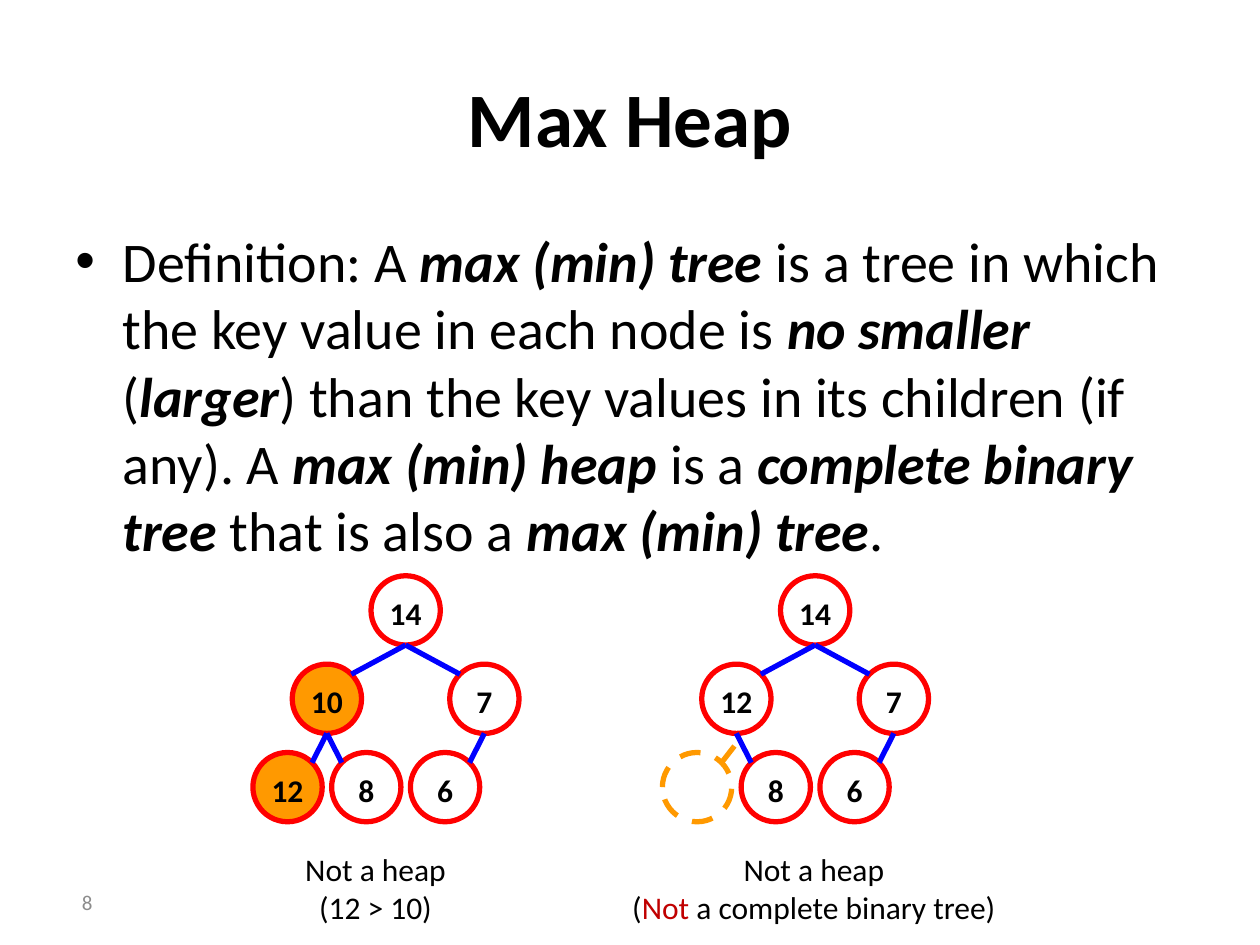
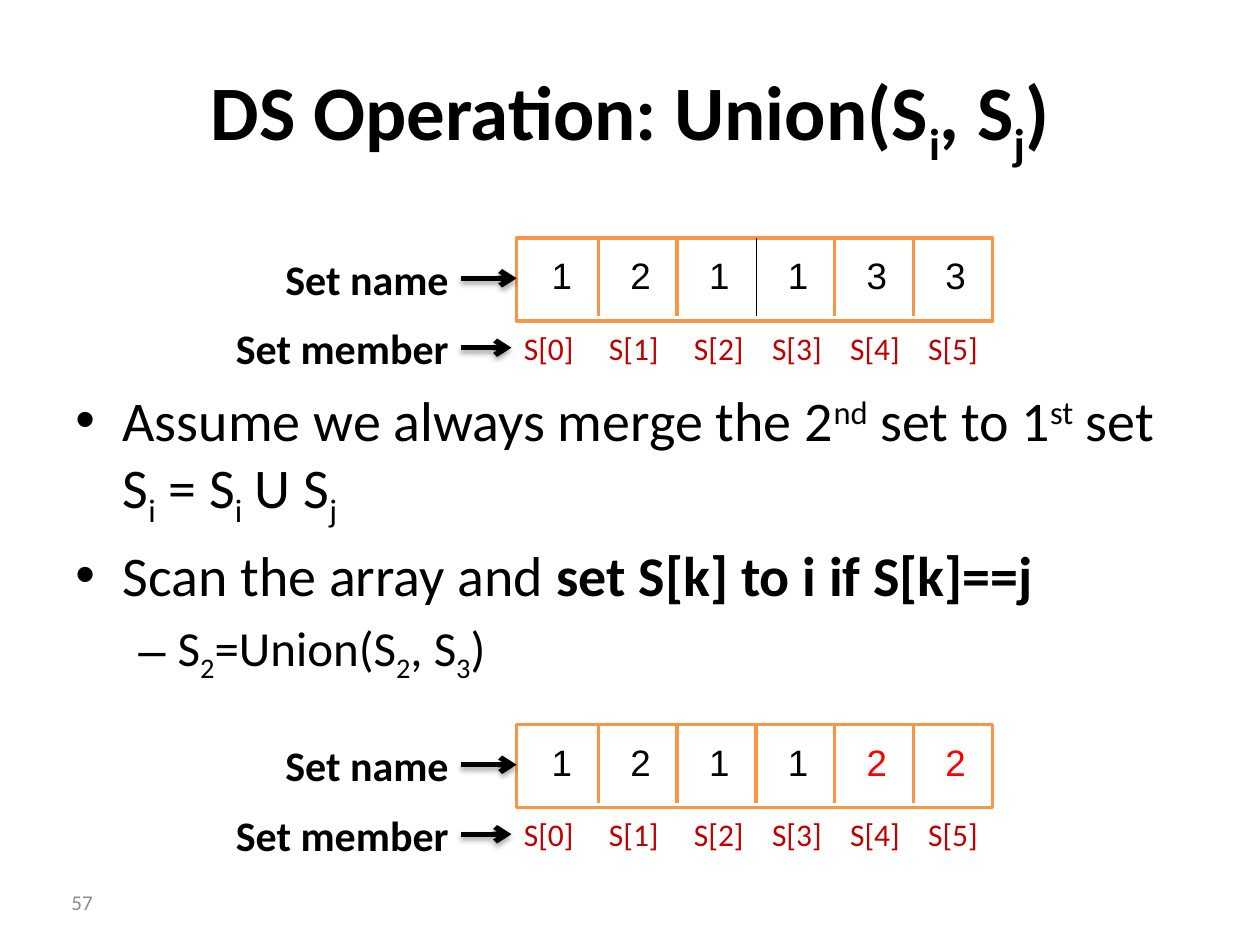
from math import sqrt
from lxml.etree import SubElement
from pptx import Presentation
from pptx.dml.color import RGBColor
from pptx.enum.dml import MSO_LINE
from pptx.enum.shapes import MSO_CONNECTOR, MSO_SHAPE
from pptx.enum.text import MSO_ANCHOR, PP_ALIGN
from pptx.oxml.ns import qn
from pptx.util import Pt

BLACK = RGBColor(0, 0, 0)
WHITE = RGBColor(255, 255, 255)
GREY = RGBColor(0x8C, 0x8C, 0x8C)
RED = RGBColor(255, 0, 0)
DARK_RED = RGBColor(0xC0, 0, 0)
BLUE = RGBColor(0, 0, 255)
AMBER = RGBColor(0xFF, 0x99, 0)
ORANGE = RGBColor(0xF7, 0x96, 0x46)

FONT = "Calibri"
LABEL_INSETS = (7.2, 10.8)
BULLETS = [("•", 27, -27, 32), ("–", 58.5, -22.5, 28)]
BASELINES = {"sub": "-25000", "sup": "30000"}

NODE = 39.6
SIBLING = 45
LEVEL = 50.5
NODE_PLACES = {
    "root": (0, 0), "left": (-1, 1), "right": (1, 1),
    "left.left": (-1.5, 2), "left.right": (-0.5, 2), "right.left": (0.5, 2),
}

CELL = 45
FIRST_DIVIDER = 46.8
INDEX_STOPS = [48.6, 97.2, 141.8, 186.4, 231]


def format_span(span, size, color=BLACK, bold=False, name=FONT):
    span.font.size = Pt(size)
    span.font.name = name
    span.font.bold = bold
    span.font.color.rgb = color


def fill_para(para, spans, size, bold=False):
    for text, style in spans:
        span = para.add_run()
        span.text = text
        color = style if isinstance(style, RGBColor) else BLACK
        format_span(span, size, color, bold or style in ("bold", "strong"))
        if style == "strong":
            span.font.italic = True
        if style in BASELINES:
            span._r.get_or_add_rPr().set("baseline", BASELINES[style])


def add_box(page, left, top, width, height, insets=(7.2, 3.6)):
    box = page.shapes.add_textbox(Pt(left), Pt(top), Pt(width), Pt(height))
    frame = box.text_frame
    frame.word_wrap = True
    frame.margin_left = frame.margin_right = Pt(insets[0])
    frame.margin_top = frame.margin_bottom = Pt(insets[1])
    return frame


def add_label(page, place, text, size, color=BLACK, bold=False, align=PP_ALIGN.LEFT,
              name=FONT, insets=(7.2, 3.6)):
    frame = add_box(page, *place, insets)
    frame.text = text
    para = frame.paragraphs[0]
    para.alignment = align
    format_span(para.runs[0], size, color, bold, name)
    return frame


def add_line(page, start, end, color, width, dashed=False, arrow=False):
    line = page.shapes.add_connector(MSO_CONNECTOR.STRAIGHT, *map(Pt, start + end))
    line.line.color.rgb = color
    line.line.width = Pt(width)
    if dashed:
        line.line.dash_style = MSO_LINE.DASH
    properties = line._element.spPr
    effects = SubElement(properties, qn("a:effectLst"))
    if arrow:
        SubElement(properties.find(qn("a:ln")), qn("a:tailEnd"), type="arrow")
        shadow = SubElement(effects, qn("a:outerShdw"), blurRad="40000", dist="23000",
                            dir="5400000", rotWithShape="0")
        tint = SubElement(shadow, qn("a:srgbClr"), val=str(BLACK))
        SubElement(tint, qn("a:alpha"), val="35000")


def add_page(deck, title_spans, number):
    page = deck.slides.add_slide(deck.slide_layouts[5])
    title = page.shapes.title
    title.left, title.top, title.width, title.height = map(Pt, (36, 21.6, 648, 90))
    title.text_frame.vertical_anchor = MSO_ANCHOR.MIDDLE
    para = title.text_frame.paragraphs[0]
    para.alignment = PP_ALIGN.CENTER
    fill_para(para, title_spans, 44, bold=True)
    footer = add_label(page, (0, 501, 60, 29), number, 12, GREY, align=PP_ALIGN.RIGHT)
    footer.vertical_anchor = MSO_ANCHOR.MIDDLE
    return page


def add_bullets(page, top, height, items):
    frame = add_box(page, 36, top, 648, height)
    for index, (level, spans) in enumerate(items):
        para = frame.paragraphs[0] if index == 0 else frame.add_paragraph()
        symbol, margin, indent, size = BULLETS[level]
        properties = para._p.get_or_add_pPr()
        properties.set("marL", str(Pt(margin)))
        properties.set("indent", str(Pt(indent)))
        SubElement(properties, qn("a:buFont"), typeface="Arial")
        SubElement(properties, qn("a:buChar"), char=symbol)
        para.level = level
        if index:
            para.space_before = Pt(size * 0.2)
        fill_para(para, spans, size)


def add_node(page, center, value, filled=False, missing=False):
    x, y = center
    node = page.shapes.add_shape(MSO_SHAPE.OVAL, Pt(x - NODE / 2), Pt(y - NODE / 2),
                                 Pt(NODE), Pt(NODE))
    node.shadow.inherit = False
    if filled:
        node.fill.solid()
        node.fill.fore_color.rgb = AMBER
    else:
        node.fill.background()
    node.line.width = Pt(3)
    node.line.color.rgb = AMBER if missing else RED
    if missing:
        node.line.dash_style = MSO_LINE.DASH
        return
    frame = node.text_frame
    frame.word_wrap = False
    frame.margin_left = frame.margin_right = frame.margin_bottom = 0
    frame.margin_top = Pt(3)
    frame.vertical_anchor = MSO_ANCHOR.MIDDLE
    frame.text = value
    frame.paragraphs[0].alignment = PP_ALIGN.CENTER
    format_span(frame.paragraphs[0].runs[0], 18, bold=True)


def add_tree(page, root_x, root_y, values, filled=()):
    centers = {place: (root_x + column * SIBLING, root_y + row * LEVEL)
               for place, (column, row) in NODE_PLACES.items()}
    for place, center in centers.items():
        add_node(page, center, values.get(place), place in filled, place not in values)
    reach = NODE / 2 / sqrt(2)
    for place, (x, y) in centers.items():
        if place == "root":
            continue
        parent = place.rpartition(".")[0] or "root"
        parent_x, parent_y = centers[parent]
        side = 1 if parent_x > x else -1
        missing = place not in values
        gap = 5.8 if missing else 0
        add_line(page, (x + side * reach, y - reach), (parent_x, parent_y + NODE / 2 + gap),
                 AMBER if missing else BLUE, 3, dashed=missing)


def add_caption(page, left, width, lines):
    frame = add_box(page, left, 475.2, width, 64.8, LABEL_INSETS)
    for index, spans in enumerate(lines):
        para = frame.paragraphs[0] if index == 0 else frame.add_paragraph()
        para.alignment = PP_ALIGN.CENTER
        fill_para(para, spans, 18)


def add_set_array(page, left, top, values, changed=(), thin_divider=None):
    frame = page.shapes.add_shape(MSO_SHAPE.RECTANGLE, Pt(left), Pt(top), Pt(272), Pt(47.5))
    frame.shadow.inherit = False
    frame.fill.solid()
    frame.fill.fore_color.rgb = WHITE
    frame.line.color.rgb = ORANGE
    frame.line.width = Pt(2)
    for index in range(len(values) - 1):
        x = left + FIRST_DIVIDER + index * CELL
        color, width = (BLACK, 0.25) if index == thin_divider else (ORANGE, 2)
        add_line(page, (x, top), (x, top + 44.6), color, width)
    for index, value in enumerate(values):
        add_label(page, (left + 13 + index * CELL, top + 5, 28, 32), value, 21,
                  RED if index in changed else BLACK, name="Arial")

    names = "\t".join(f"S[{index}]" for index in range(len(values)))
    indexes = add_label(page, (left - 2.9, top + 48.2, 282, 29), names, 18, DARK_RED)
    stops = SubElement(indexes.paragraphs[0]._p.get_or_add_pPr(), qn("a:tabLst"))
    for stop in INDEX_STOPS:
        SubElement(stops, qn("a:tab"), pos=str(Pt(stop)), algn="l")

    for text, offset, arrow_y, tip in (("Set name", -2, 23, 0), ("Set member", 37.5, 62.7, -2.9)):
        add_label(page, (left - 181.7, top + offset, 150, 51), text, 24, bold=True,
                  align=PP_ALIGN.RIGHT, insets=LABEL_INSETS)
        add_line(page, (left - 31.7, top + arrow_y), (left + tip, top + arrow_y),
                 BLACK, 3, arrow=True)


def add_heap_page(deck):
    page = add_page(deck, [("Max Heap", "")], "8")
    add_bullets(page, 126, 356, [(0, [
        ("Definition: A ", ""), ("max (min) tree", "strong"),
        (" is a tree in which the key value in each node is ", ""),
        ("no smaller", "strong"), (" (", ""), ("larger", "strong"),
        (") than the key values in its children (if any). A ", ""),
        ("max (min) heap ", "strong"), ("is a ", ""),
        ("complete binary tree ", "strong"), ("that is also a ", ""),
        ("max (min) tree", "strong"), (".", "")])])
    add_tree(page, 231.8, 348.8, {
        "root": "14", "left": "10", "right": "7",
        "left.left": "12", "left.right": "8", "right.left": "6",
    }, filled=("left", "left.left"))
    add_tree(page, 465.8, 348.8, {
        "root": "14", "left": "12", "right": "7", "left.right": "8", "right.left": "6"})
    add_caption(page, 121.7, 185.8, [[("Not a heap", "")], [("(12 > 10)", "")]])
    add_caption(page, 320.4, 289.4, [
        [("Not a heap", "")],
        [("(", ""), ("Not", DARK_RED), (" a complete binary tree)", "")]])


def add_union_page(deck):
    page = add_page(deck, [("DS Operation: Union(S", ""), ("i", "sub"), (", S", ""),
                           ("j", "sub"), (")", "")], "57")
    add_bullets(page, 216.5, 190, [
        (0, [("Assume we always merge the 2", ""), ("nd", "sup"), (" set to 1", ""),
             ("st", "sup"), (" set S", ""), ("i", "sub"), (" = S", ""), ("i", "sub"),
             (" U S", ""), ("j", "sub")]),
        (0, [("Scan the array and ", ""), ("set S[k] to i if S[k]==j", "bold")]),
        (1, [("S", ""), ("2", "sub"), ("=Union(S", ""), ("2", "sub"), (", S", ""),
             ("3", "sub"), (")", "")])])
    add_set_array(page, 295.2, 136, "121133", thin_divider=2)
    add_set_array(page, 295.2, 414, "121122", changed=(4, 5))


def main():
    deck = Presentation()
    deck.slide_width, deck.slide_height = Pt(720), Pt(540)
    add_heap_page(deck)
    add_union_page(deck)
    deck.save("out.pptx")


if __name__ == "__main__":
    main()
